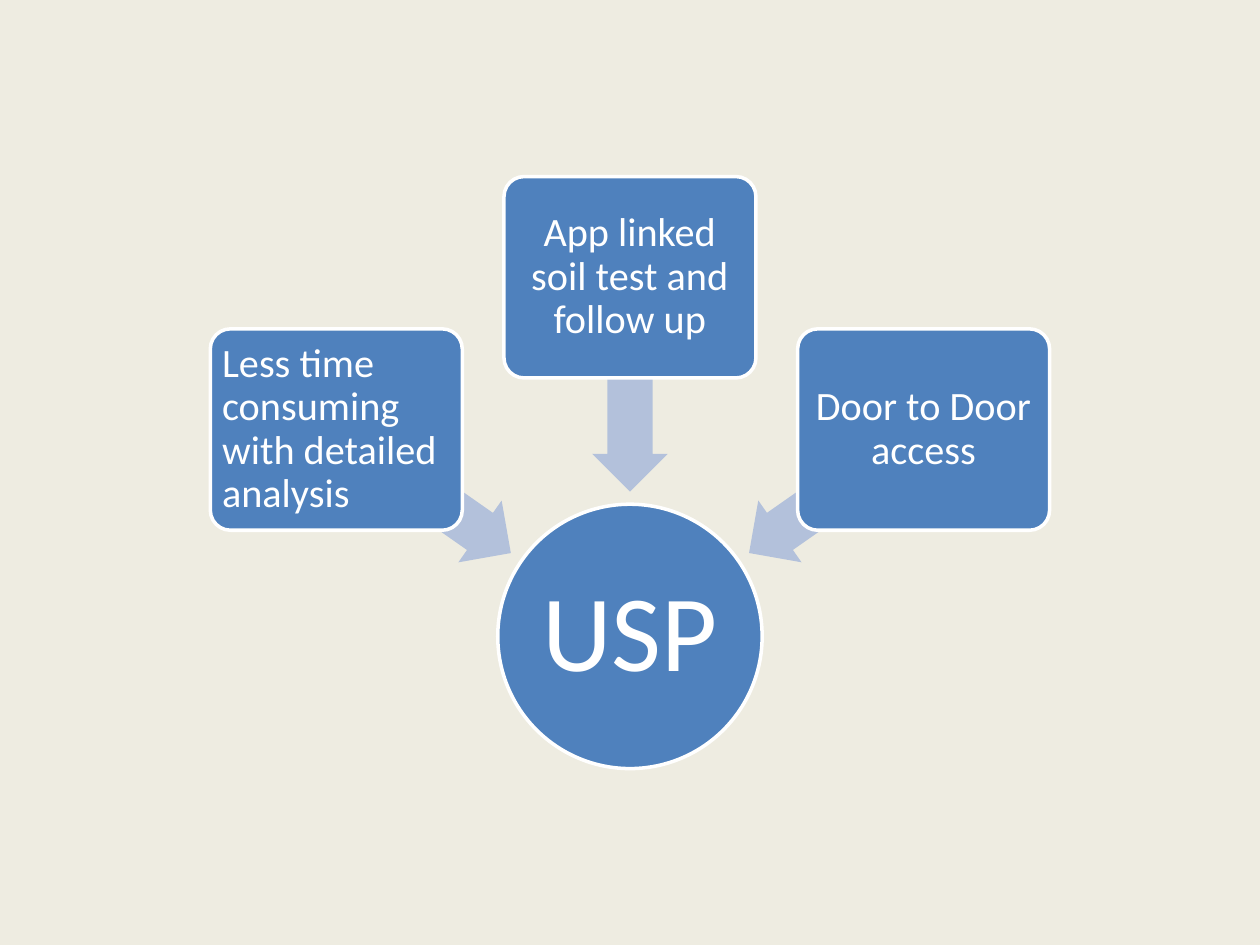
import pptx
import pptx.util
import pptx.dml.color
import pptx.enum.shapes
import pptx.enum.text

Cm = pptx.util.Cm
Pt = pptx.util.Pt
SHAPE = pptx.enum.shapes.MSO_SHAPE
ALIGN = pptx.enum.text.PP_ALIGN

COLORS = {"background": "EEECE1", "node": "4F81BD", "arrow": "B3C1DB", "white": "FFFFFF"}
FONT = "Calibri"

HUB = "USP"
# side, text, alignment, box centre y, arrow centre y, arrow rotation
BENEFITS = [
    (-1, "Less time consuming with detailed analysis", ALIGN.LEFT, 8.66, 9.91, 215),
    (0, "App linked soil test and follow up", ALIGN.CENTER, 5.59, 7.75, 270),
    (1, "Door to Door access", ALIGN.CENTER, 8.66, 9.91, 325),
]

CENTER_X, HUB_Y, HUB_SIZE = 12.7, 12.83, 5.33
BOX_SIZE, BOX_STEP = (5.08, 4.06), 5.92
ARROW_SIZE, ARROW_STEP = (4.32, 1.52), 4.17


def rgb(name):
    return pptx.dml.color.RGBColor.from_string(COLORS[name])


def add_centered(slide, kind, x, y, size, color):
    width, height = size
    shape = slide.shapes.add_shape(
        kind, Cm(x - width / 2), Cm(y - height / 2), Cm(width), Cm(height))
    shape.shadow.inherit = False
    shape.fill.solid()
    shape.fill.fore_color.rgb = rgb(color)
    shape.line.fill.background()
    return shape


def add_node(slide, kind, x, y, size, text, points, align, inset):
    node = add_centered(slide, kind, x, y, size, "node")
    node.line.color.rgb = rgb("white")
    node.line.width = Pt(2)
    frame = node.text_frame
    frame.text = text
    frame.word_wrap = True
    frame.vertical_anchor = pptx.enum.text.MSO_ANCHOR.MIDDLE
    frame.margin_left = frame.margin_right = Cm(inset)
    frame.margin_top = frame.margin_bottom = Cm(inset)
    para = frame.paragraphs[0]
    para.alignment = align
    para.line_spacing = 0.9
    font = para.runs[0].font
    font.name, font.size = FONT, Pt(points)
    font.color.rgb = rgb("white")
    return node


def main():
    deck = pptx.Presentation()
    deck.slide_width, deck.slide_height = Cm(25.4), Cm(19.05)
    slide = deck.slides.add_slide(deck.slide_layouts[6])
    slide.background.fill.solid()
    slide.background.fill.fore_color.rgb = rgb("background")

    add_node(slide, SHAPE.OVAL, CENTER_X, HUB_Y, (HUB_SIZE, HUB_SIZE),
             HUB, 62, ALIGN.CENTER, 0.1)
    for side, text, align, box_y, arrow_y, rotation in BENEFITS:
        arrow = add_centered(slide, SHAPE.LEFT_ARROW, CENTER_X + side * ARROW_STEP,
                             arrow_y, ARROW_SIZE, "arrow")
        arrow.adjustments[0], arrow.adjustments[1] = 0.6, 0.5
        arrow.rotation = rotation
        box = add_node(slide, SHAPE.ROUNDED_RECTANGLE, CENTER_X + side * BOX_STEP,
                       box_y, BOX_SIZE, text, 23, align, 0.12)
        box.adjustments[0] = 0.1

    deck.save("out.pptx")


if __name__ == "__main__":
    main()
